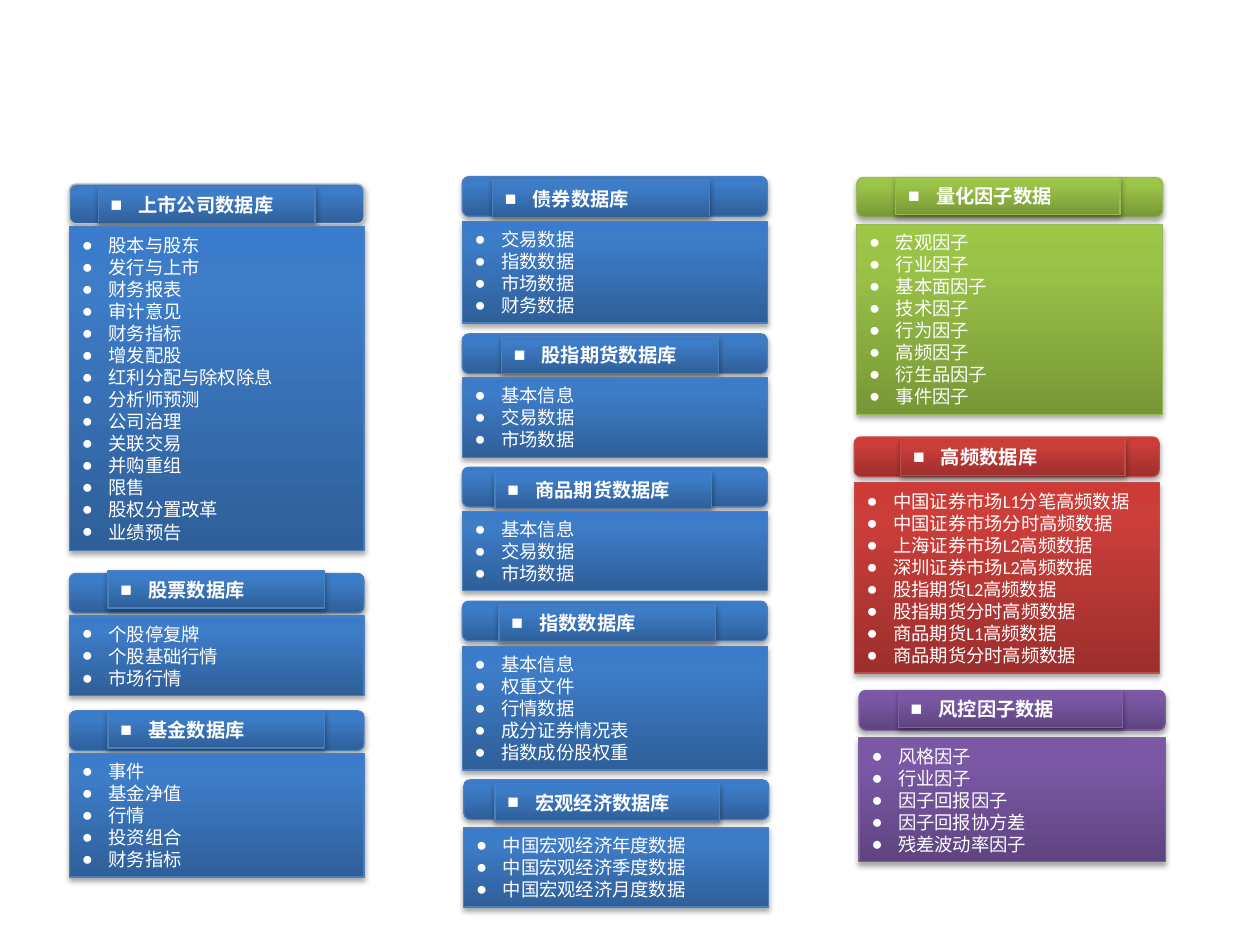
from dataclasses import dataclass

from lxml.etree import SubElement
from pptx import Presentation
from pptx.dml.color import RGBColor
from pptx.enum.shapes import MSO_SHAPE as Shape
from pptx.enum.text import MSO_ANCHOR as Anchor, MSO_AUTO_SIZE as AutoSize, PP_ALIGN as Align
from pptx.oxml import parse_xml
from pptx.oxml.ns import nsdecls, qn
from pptx.util import Cm, Pt

FONT = "Calibri"
HEADER_H, BADGE_H = 0.8, 0.75
BADGE_W, WIDE_BADGE_W = 4.37, 4.52
LINE_H, BODY_PAD = 0.448, 0.254


@dataclass
class Theme:
    stops: tuple[str, str, str]  # gradient colours from bottom to top
    line: str


@dataclass
class Panel:
    """A database: header bar, title badge and item list (lengths in cm)."""
    title: str
    items: str
    theme: Theme
    left: float
    width: float
    top: float
    badge_left: float
    badge_top: float
    body_top: float
    badge_width: float = BADGE_W
    header_line: str | None = None


BLUE = Theme(("2F5F99", "3D7CC7", "3A7CCB"), "4B7EBC")
RED = Theme(("9C2F2D", "CB3E3A", "CE3B37"), "BF4C48")
GREEN = Theme(("779737", "9BC348", "9DC746"), "98B955")
PURPLE = Theme(("5F4480", "7B58A6", "7C57A8"), "7D60A0")

PANELS = [
    Panel("上市公司数据库",
          "股本与股东 发行与上市 财务报表 审计意见 财务指标 增发配股 红利分配与除权除息 "
          "分析师预测 公司治理 关联交易 并购重组 限售 股权分置改革 业绩预告",
          BLUE, 1.4, 5.94, 3.71, 1.98, 3.76, 4.57, header_line="BFBFBF"),
    Panel("股票数据库", "个股停复牌 个股基础行情 市场行情",
          BLUE, 1.4, 5.94, 11.56, 2.18, 11.51, 12.42),
    Panel("基金数据库", "事件 基金净值 行情 投资组合 财务指标",
          BLUE, 1.4, 5.94, 14.33, 2.18, 14.33, 15.19),
    Panel("债券数据库", "交易数据 指数数据 市场数据 财务数据",
          BLUE, 9.32, 6.15, 3.56, 9.93, 3.63, 4.47),
    Panel("股指期货数据库", "基本信息 交易数据 市场数据",
          BLUE, 9.32, 6.15, 6.73, 10.11, 6.78, 7.62),
    Panel("商品期货数据库", "基本信息 交易数据 市场数据",
          BLUE, 9.32, 6.15, 9.42, 9.98, 9.5, 10.31),
    Panel("指数数据库", "基本信息 权重文件 行情数据 成分证券情况表 指数成份股权重",
          BLUE, 9.32, 6.15, 12.12, 10.06, 12.19, 13.03),
    Panel("宏观经济数据库", "中国宏观经济年度数据 中国宏观经济季度数据 中国宏观经济月度数据",
          BLUE, 9.35, 6.15, 15.72, 9.98, 15.8, 16.69, WIDE_BADGE_W),
    Panel("量化因子数据",
          "宏观因子 行业因子 基本面因子 技术因子 行为因子 高频因子 衍生品因子 事件因子",
          GREEN, 17.27, 6.17, 3.58, 18.06, 3.58, 4.52, WIDE_BADGE_W),
    Panel("高频数据库",
          "中国证券市场L1分笔高频数据 中国证券市场分时高频数据 上海证券市场L2高频数据 "
          "深圳证券市场L2高频数据 股指期货L2高频数据 股指期货分时高频数据 "
          "商品期货L1高频数据 商品期货分时高频数据",
          RED, 17.22, 6.15, 8.81, 18.16, 8.84, 9.73, WIDE_BADGE_W),
    Panel("风控因子数据", "风格因子 行业因子 因子回报因子 因子回报协方差 残差波动率因子",
          PURPLE, 17.32, 6.17, 13.92, 18.11, 13.92, 14.88, WIDE_BADGE_W),
]


def rgb(color: str) -> RGBColor:
    return RGBColor.from_string(color)


def add_box(slide, kind, left: float, top: float, width: float, height: float,
            theme: Theme, line: str | None = None):
    """Add a shape with the theme's vertical gradient and a soft shadow."""
    sp = slide.shapes.add_shape(kind, Cm(left), Cm(top), Cm(width), Cm(height))
    stops = "".join(f'<a:gs pos="{pos}"><a:srgbClr val="{color}"/></a:gs>'
                    for pos, color in zip((0, 80000, 100000), theme.stops))
    gradient = parse_xml(f'<a:gradFill {nsdecls("a")} rotWithShape="1"><a:gsLst>{stops}</a:gsLst>'
                         '<a:lin ang="16200000" scaled="0"/></a:gradFill>')
    sp_pr = sp.element.spPr
    sp_pr.find(qn("a:prstGeom")).addnext(gradient)
    sp.line.color.rgb = rgb(line or theme.line)
    sp.line.width = Pt(0.75)
    sp.shadow.inherit = False
    sp_pr.find(qn("a:effectLst")).append(parse_xml(
        f'<a:outerShdw {nsdecls("a")} blurRad="40000" dist="23000" dir="5400000" rotWithShape="0">'
        '<a:srgbClr val="000000"><a:alpha val="35000"/></a:srgbClr></a:outerShdw>'))
    return sp


def write_list(sp, text: str, *, bullet: str, size: float, indent: float, bold: bool = False) -> None:
    """Fill a shape with one bulleted paragraph per space-separated item."""
    tf = sp.text_frame
    tf.word_wrap = True
    tf.auto_size = AutoSize.SHAPE_TO_FIT_TEXT
    tf.vertical_anchor = Anchor.MIDDLE
    for i, item in enumerate(text.split()):
        p = tf.add_paragraph() if i else tf.paragraphs[0]
        p.alignment = Align.LEFT
        p_pr = p._p.get_or_add_pPr()
        p_pr.set("marL", str(Cm(indent)))
        p_pr.set("indent", str(-Cm(indent)))
        SubElement(p_pr, qn("a:buFont"), typeface="Arial")
        SubElement(p_pr, qn("a:buChar"), char=bullet)
        r = p.add_run()
        r.text = item
        r.font.name, r.font.size, r.font.bold = FONT, Pt(size), bold
        r.font.color.rgb = rgb("FFFFFF")


def draw_panel(slide, panel: Panel) -> None:
    add_box(slide, Shape.ROUNDED_RECTANGLE, panel.left, panel.top, panel.width, HEADER_H,
            panel.theme, panel.header_line)
    badge = add_box(slide, Shape.RECTANGLE, panel.badge_left, panel.badge_top,
                    panel.badge_width, BADGE_H, panel.theme)
    write_list(badge, panel.title, bullet="■", size=11, indent=0.56, bold=True)
    body_height = BODY_PAD + LINE_H * len(panel.items.split())
    body = add_box(slide, Shape.RECTANGLE, panel.left, panel.body_top, panel.width,
                   body_height, panel.theme)
    write_list(body, panel.items, bullet="●", size=10.5, indent=0.54)


def main() -> None:
    prs = Presentation()
    prs.slide_width, prs.slide_height = Cm(25.4), Cm(19.05)
    slide = prs.slides.add_slide(prs.slide_layouts[6])
    for panel in PANELS:
        draw_panel(slide, panel)
    prs.save("out.pptx")


if __name__ == "__main__":
    main()
